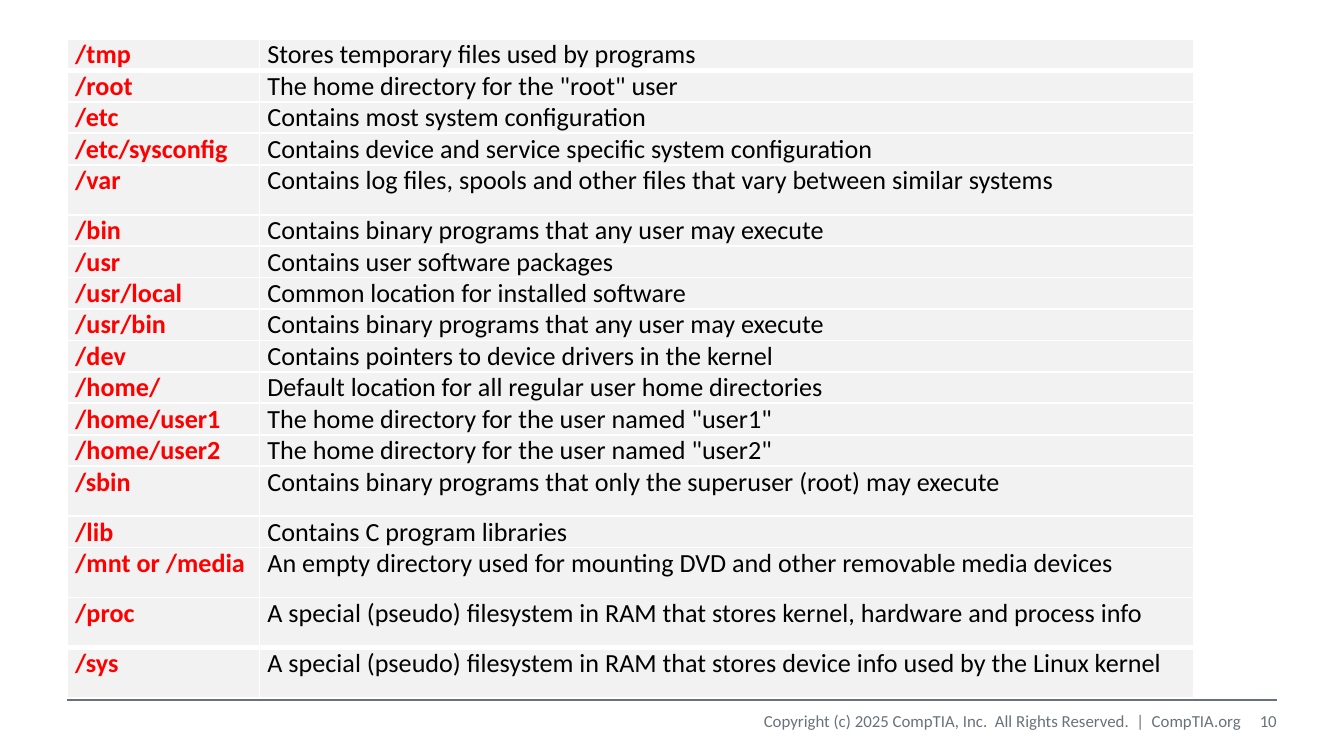
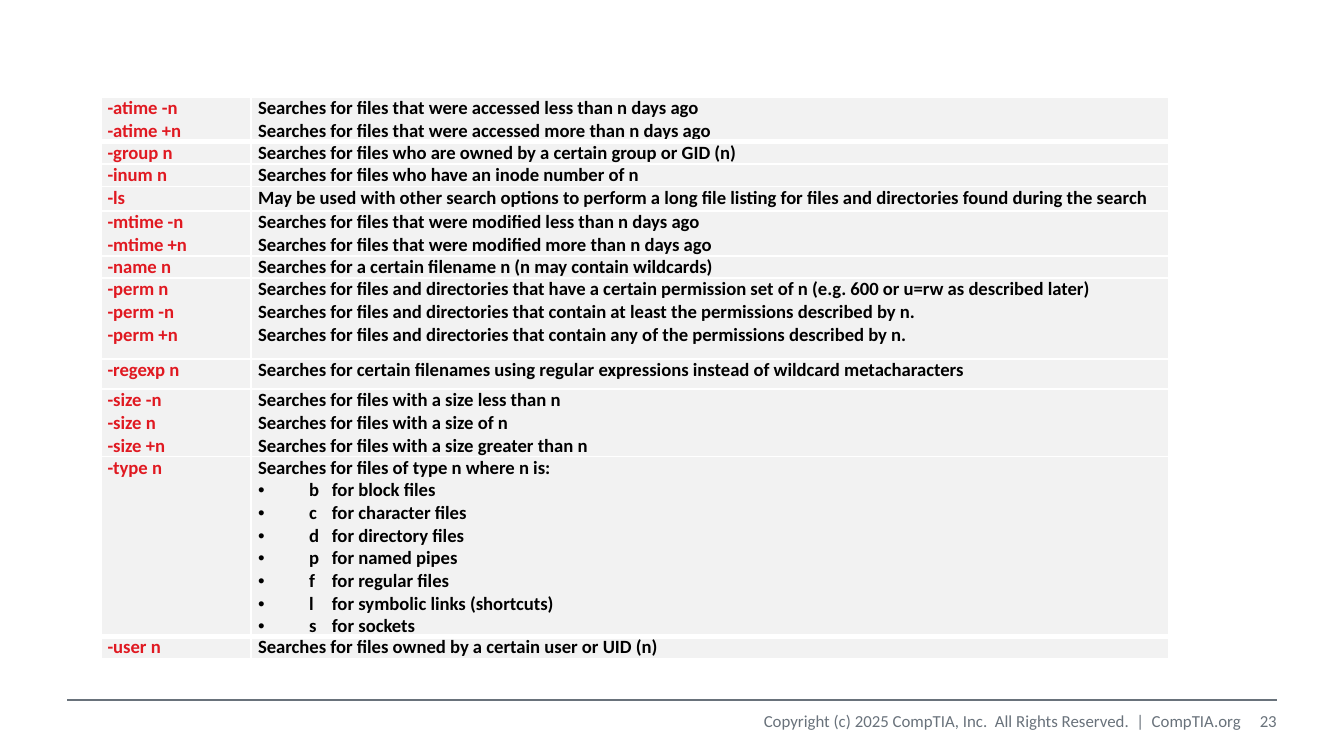
from dataclasses import dataclass

from lxml.etree import SubElement
from pptx import Presentation
from pptx.dml.color import RGBColor
from pptx.enum.shapes import MSO_CONNECTOR
from pptx.enum.text import MSO_ANCHOR, PP_ALIGN
from pptx.oxml.ns import qn
from pptx.util import Inches, Pt

WIDE, HIGH = Inches(10), Inches(5.625)
FONT = "Calibri"
BLACK = RGBColor(0x00, 0x00, 0x00)
WHITE = RGBColor(0xFF, 0xFF, 0xFF)
GREY = RGBColor(0x69, 0x72, 0x7B)
PALE = RGBColor(0xF2, 0xF2, 0xF2)
RED = RGBColor(0xFF, 0x00, 0x00)
CRIMSON = RGBColor(0xE0, 0x19, 0x21)
NOTICE = "Copyright (c) 2025 CompTIA, Inc.  All Rights Reserved.  |  CompTIA.org"
THIN, THICK = 1, 3
FOOT_TOP, FOOT_TALL = 92.62, 5.33


@dataclass(frozen=True)
class Row:
    """A key cell and a note cell, with a height counted in table lines."""
    key: str
    note: str
    tall: float = 1


@dataclass(frozen=True)
class Grid:
    """A two-column table, with lengths in percent of the slide."""
    page: int
    left: float
    top: float
    cols: tuple[float, float]
    line: float
    pad: float
    size: int
    hue: RGBColor
    bold: bool
    rows: tuple[Row, ...]


FOLDERS = Grid(10, 5, 5.16, (14.3, 69.5), 4.16, 0.6, 14, RED, False, (
    Row("/tmp", "Stores temporary files used by programs"),
    Row("/root", 'The home directory for the "root" user'),
    Row("/etc", "Contains most system configuration"),
    Row("/etc/sysconfig", "Contains device and service specific system configuration"),
    Row("/var", "Contains log files, spools and other files that vary between similar systems", 1.59),
    Row("/bin", "Contains binary programs that any user may execute"),
    Row("/usr", "Contains user software packages"),
    Row("/usr/local", "Common location for installed software"),
    Row("/usr/bin", "Contains binary programs that any user may execute"),
    Row("/dev", "Contains pointers to device drivers in the kernel"),
    Row("/home/", "Default location for all regular user home directories"),
    Row("/home/user1", 'The home directory for the user named "user1"'),
    Row("/home/user2", 'The home directory for the user named "user2"'),
    Row("/sbin", "Contains binary programs that only the superuser (root) may execute", 1.59),
    Row("/lib", "Contains C program libraries"),
    Row("/mnt or /media", "An empty directory used for mounting DVD and other removable media devices", 1.59),
    Row("/proc", "A special (pseudo) filesystem in RAM that stores kernel, hardware and process info", 1.59),
    Row("/sys", "A special (pseudo) filesystem in RAM that stores device info used by the Linux kernel", 1.59),
))

FLAGS = Grid(23, 7.5, 12.8, (11.2, 68.3), 2.67, 0.5, 10, CRIMSON, True, (
    Row("-atime -n\n-atime +n",
        "Searches for files that were accessed less than n days ago\n"
        "Searches for files that were accessed more than n days ago", 2),
    Row("-group n", "Searches for files who are owned by a certain group or GID (n)"),
    Row("-inum n", "Searches for files who have an inode number of n"),
    Row("-ls", "May be used with other search options to perform a long file listing "
        "for files and directories found during the search", 1.2),
    Row("-mtime -n\n-mtime +n",
        "Searches for files that were modified less than n days ago\n"
        "Searches for files that were modified more than n days ago", 2),
    Row("-name n", "Searches for a certain filename n (n may contain wildcards)"),
    Row("-perm n\n-perm -n\n-perm +n",
        "Searches for files and directories that have a certain permission set of n "
        "(e.g. 600 or u=rw as described later)\n"
        "Searches for files and directories that contain at least the permissions described by n.\n"
        "Searches for files and directories that contain any of the permissions described by n.", 4),
    Row("-regexp n", "Searches for certain filenames using regular expressions "
        "instead of wildcard metacharacters", 1.5),
    Row("-size -n\n-size n\n-size +n",
        "Searches for files with a size less than n\n"
        "Searches for files with a size of n\n"
        "Searches for files with a size greater than n", 3),
    Row("-type n",
        "Searches for files of type n where n is:\n"
        "b\tfor block files\nc\tfor character files\nd\tfor directory files\n"
        "p\tfor named pipes\nf\tfor regular files\n"
        "l\tfor symbolic links (shortcuts)\ns\tfor sockets", 8),
    Row("-user n", "Searches for files owned by a certain user or UID (n)"),
))


def across(share: float) -> int:
    """Turn a percent of the slide's width into a length."""
    return round(WIDE * share / 100)


def down(share: float) -> int:
    """Turn a percent of the slide's height into a length."""
    return round(HIGH * share / 100)


def style(para, size: int, hue: RGBColor, bold: bool = False) -> None:
    """Set the font of a paragraph."""
    font = para.font
    font.name, font.size, font.bold = FONT, Pt(size), bold
    font.color.rgb = hue


def bullet(para) -> None:
    """Give a paragraph a hanging bullet and a tab stop."""
    props = para._p.get_or_add_pPr()
    props.set("marL", str(across(3.8)))
    props.set("indent", str(-across(3.8)))
    SubElement(props, qn("a:buFont"), typeface="Arial")
    SubElement(props, qn("a:buChar"), char="•")
    stops = SubElement(props, qn("a:tabLst"))
    SubElement(stops, qn("a:tab"), pos=str(across(5.5)), algn="l")


def edge(cell, top: int, base: int) -> None:
    """Draw the white borders of a cell."""
    props = cell._tc.get_or_add_tcPr()
    for side, width in (("L", THIN), ("R", THIN), ("T", top), ("B", base)):
        line = SubElement(props, qn(f"a:ln{side}"), w=str(Pt(width)))
        fill = SubElement(line, qn("a:solidFill"))
        SubElement(fill, qn("a:srgbClr"), val=str(WHITE))


def write(cell, text: str, grid: Grid, hue: RGBColor, bold: bool) -> None:
    """Fill a cell with one paragraph a line."""
    cell.fill.solid()
    cell.fill.fore_color.rgb = PALE
    cell.margin_left = cell.margin_right = across(grid.pad)
    cell.margin_top = cell.margin_bottom = 0
    cell.text = text
    for para in cell.text_frame.paragraphs:
        if "\t" in para.text:
            bullet(para)
        style(para, grid.size, hue, bold)


def table(slide, grid: Grid) -> None:
    """Draw the table with thick rules below its first and above its last row."""
    last = len(grid.rows) - 1
    tall = down(grid.line * sum(row.tall for row in grid.rows))
    sheet = slide.shapes.add_table(
        last + 1, 2, across(grid.left), down(grid.top), across(sum(grid.cols)), tall).table
    sheet.first_row = sheet.horz_banding = False
    for col, width in zip(sheet.columns, grid.cols):
        col.width = across(width)
    for at, row in enumerate(grid.rows):
        sheet.rows[at].height = down(grid.line * row.tall)
        top = THICK if at in (1, last) else THIN
        base = THICK if at in (0, last - 1) else THIN
        parts = ((row.key, grid.hue, True), (row.note, BLACK, grid.bold))
        for cell, (text, hue, bold) in zip(sheet.rows[at].cells, parts):
            edge(cell, top, base)
            write(cell, text, grid, hue, bold)


def label(slide, left: float, width: float, pad: float, text: str) -> None:
    """Write a right-aligned footer text."""
    box = slide.shapes.add_textbox(
        across(left), down(FOOT_TOP), across(width), down(FOOT_TALL))
    frame = box.text_frame
    frame.word_wrap = True
    frame.vertical_anchor = MSO_ANCHOR.MIDDLE
    frame.margin_left, frame.margin_right = across(pad), 0
    frame.text = text
    para = frame.paragraphs[0]
    para.alignment = PP_ALIGN.RIGHT
    style(para, 9, GREY)


def footer(slide, page: int) -> None:
    """Draw the rule, the notice and the page number."""
    rule = slide.shapes.add_connector(
        MSO_CONNECTOR.STRAIGHT, across(5), down(FOOT_TOP), across(95), down(FOOT_TOP))
    rule.line.color.rgb = GREY
    rule.line.width = Pt(1)
    SubElement(rule._element.spPr, qn("a:effectLst"))
    label(slide, 37.6, 54.7, 0, NOTICE)
    label(slide, 92.3, 2.7, 1, str(page))


def main() -> None:
    """Build and save the slides."""
    deck = Presentation()
    deck.slide_width, deck.slide_height = WIDE, HIGH
    for grid in (FOLDERS, FLAGS):
        slide = deck.slides.add_slide(deck.slide_layouts[6])
        footer(slide, grid.page)
        table(slide, grid)
    deck.save("out.pptx")


if __name__ == "__main__":
    main()
